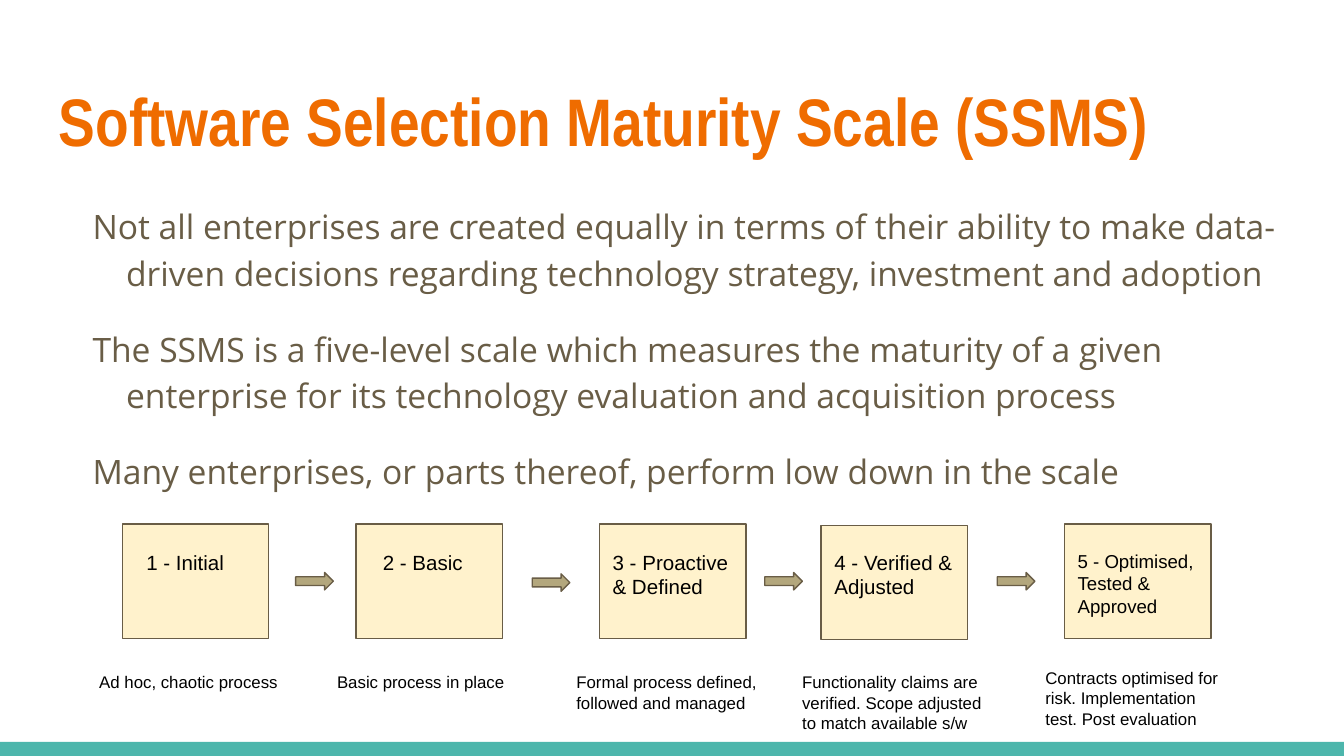
from pptx import Presentation
from pptx import util as u
from pptx.dml import color
from pptx.enum import shapes, text


def rgb(value):
    return color.RGBColor.from_string(value)


def add_text(left, top, width, height, lines, size, font="Arial", ink="000000", bold=False):
    box = slide.shapes.add_textbox(u.Inches(left), u.Inches(top), u.Inches(width), u.Inches(height))
    frame = box.text_frame
    frame.word_wrap = True
    frame.auto_size = text.MSO_AUTO_SIZE.NONE
    frame.vertical_anchor = text.MSO_ANCHOR.TOP
    frame.margin_left = frame.margin_right = u.Inches(0.1)
    frame.margin_top = frame.margin_bottom = u.Inches(0.1)
    frame.text = "\n".join(lines)
    for paragraph in frame.paragraphs:
        run_font = paragraph.runs[0].font
        run_font.name = font
        run_font.size = u.Pt(size)
        run_font.bold = bold
        run_font.color.rgb = rgb(ink)
    return frame


def add_block(kind, left, top, width, height, fill, line=None):
    shape = slide.shapes.add_shape(
        kind, u.Inches(left), u.Inches(top), u.Inches(width), u.Inches(height))
    shape.shadow.inherit = False
    shape.fill.solid()
    shape.fill.fore_color.rgb = rgb(fill)
    if line:
        shape.line.color.rgb = rgb(line)
        shape.line.width = u.Pt(0.75)
    else:
        shape.line.fill.background()


# Widescreen 16:9 slide
presentation = Presentation()
presentation.slide_width = u.Inches(10)
presentation.slide_height = u.Inches(10 * 9 / 16)
slide = presentation.slides.add_slide(presentation.slide_layouts[6])

BROWN = "695D46"
RECTANGLE = shapes.MSO_SHAPE.RECTANGLE
ARROW = shapes.MSO_SHAPE.RIGHT_ARROW

# Footer band
add_block(RECTANGLE, 0, 5.52, 10, 0.11, "4DB6AC")

# Title
add_text(0.34, 0.49, 9.32, 0.77, ["Software Selection Maturity Scale (SSMS)"],
         36, "Arial Narrow", "EF6C00", True)

# Body with hanging indents
body = add_text(0.34, 1.39, 9.32, 3.61, [
    "Not all enterprises are created equally in terms of their ability to make "
    "data-driven decisions regarding technology strategy, investment and adoption",
    "The SSMS is a five-level scale which measures the maturity of a given "
    "enterprise for its technology evaluation and acquisition process",
    "Many enterprises, or parts thereof, perform low down in the scale",
], 18, "Open Sans", BROWN)
for paragraph in body.paragraphs:
    paragraph.line_spacing = 1.15
    paragraph.space_after = u.Pt(16)
    properties = paragraph._p.get_or_add_pPr()
    properties.set("marL", str(u.Inches(0.5)))
    properties.set("indent", str(u.Inches(-0.25)))

# Maturity levels: box left, box top, label left, label width, label size,
# label, caption left, caption top, caption
levels = [
    (0.91, 3.9, 0.99, 0.93, 11, "1 - Initial",
     0.64, 4.9, "Ad hoc, chaotic process"),
    (2.65, 3.9, 2.75, 0.93, 11, "2 - Basic",
     2.41, 4.9, "Basic process in place"),
    (4.46, 3.9, 4.46, 1.09, 11, "3 - Proactive & Defined",
     4.19, 4.9, "Formal process defined, followed and managed"),
    (6.11, 3.91, 6.11, 1.09, 11, "4 - Verified & Adjusted",
     5.87, 4.9, "Functionality claims are verified. Scope adjusted to match available s/w"),
    (7.92, 3.9, 7.92, 1.09, 10, "5 - Optimised, Tested & Approved",
     7.68, 4.87, "Contracts optimised for risk. Implementation test. Post evaluation"),
]
for (box_left, box_top, label_left, label_width, label_size, label,
     caption_left, caption_top, caption) in levels:
    add_block(RECTANGLE, box_left, box_top, 1.09, 0.85, "FFF2CC", BROWN)
    add_text(label_left, 3.99, label_width, 0.33, [label], label_size)
    add_text(caption_left, caption_top, 1.56, 0.55, [caption], 9)

# Arrows between levels
for left, top in [(2.2, 4.26), (3.96, 4.27), (5.69, 4.26), (7.42, 4.26)]:
    add_block(ARROW, left, top, 0.28, 0.13, "B3A77D", BROWN)

presentation.save("out.pptx")
